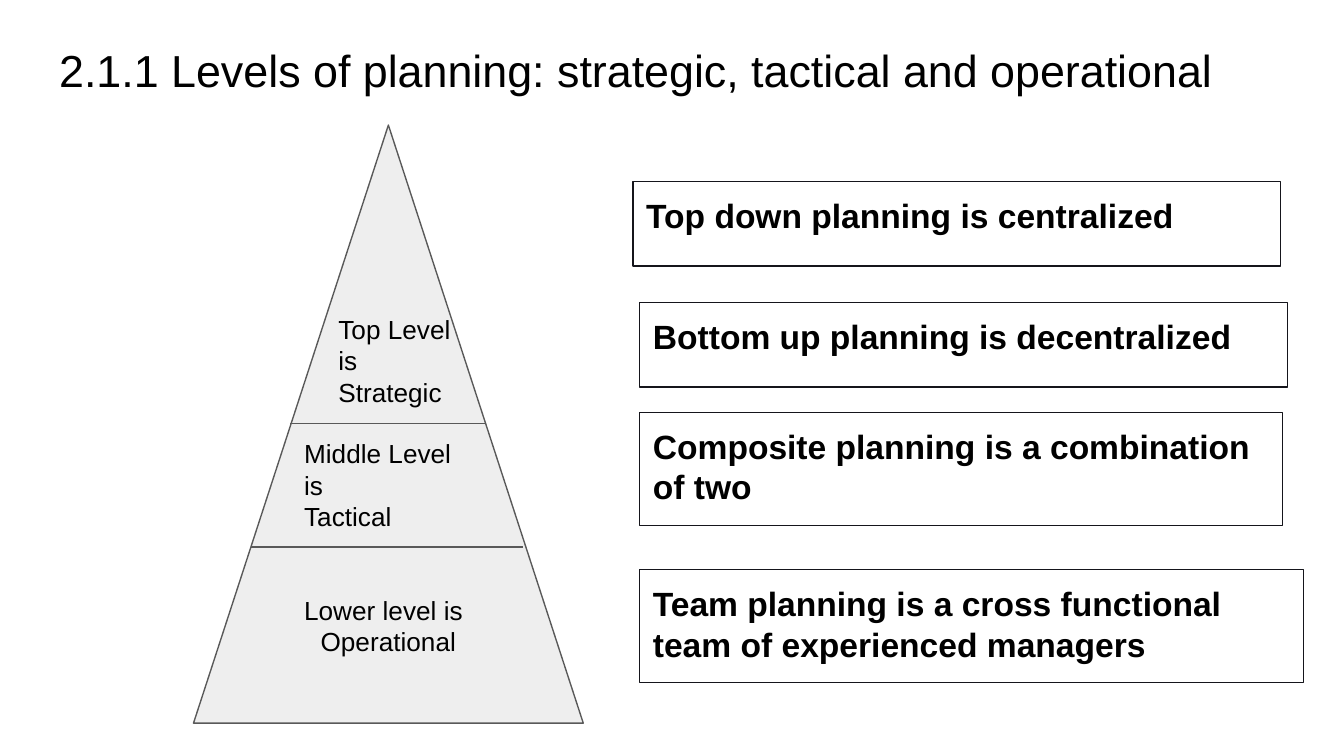
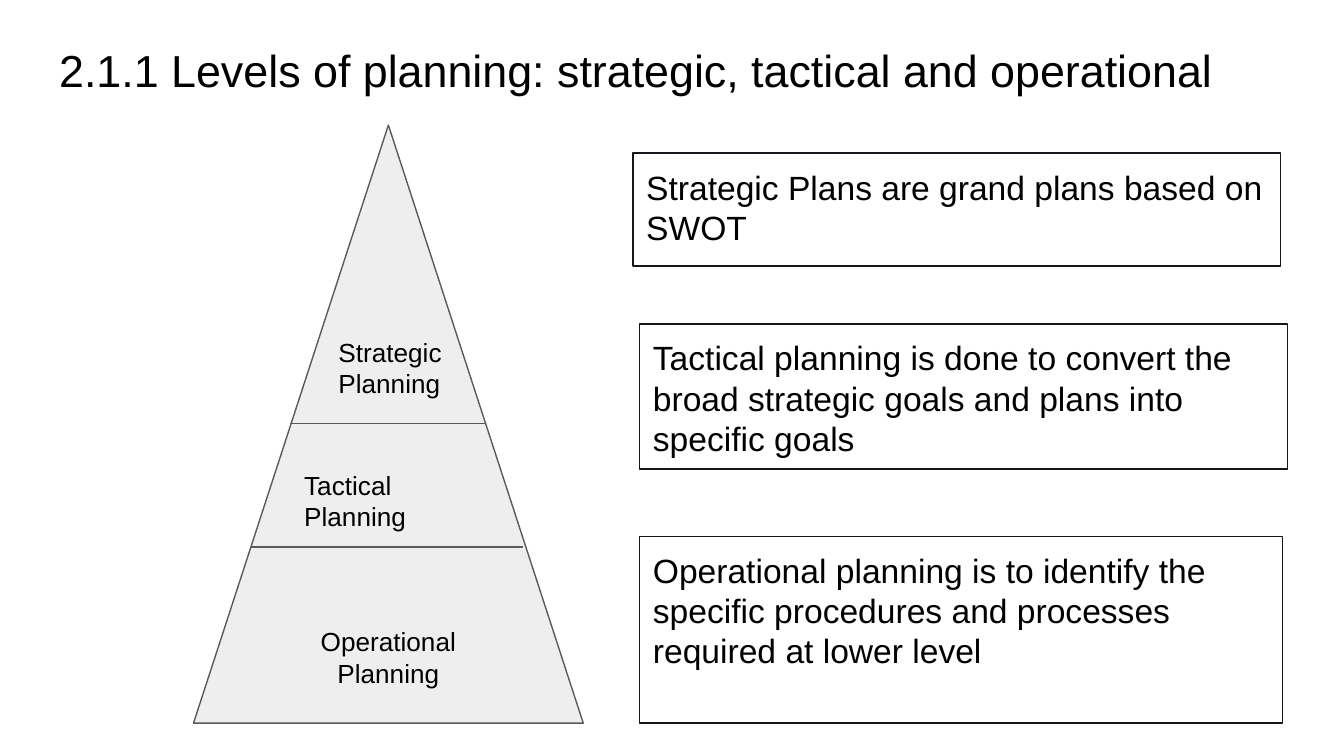
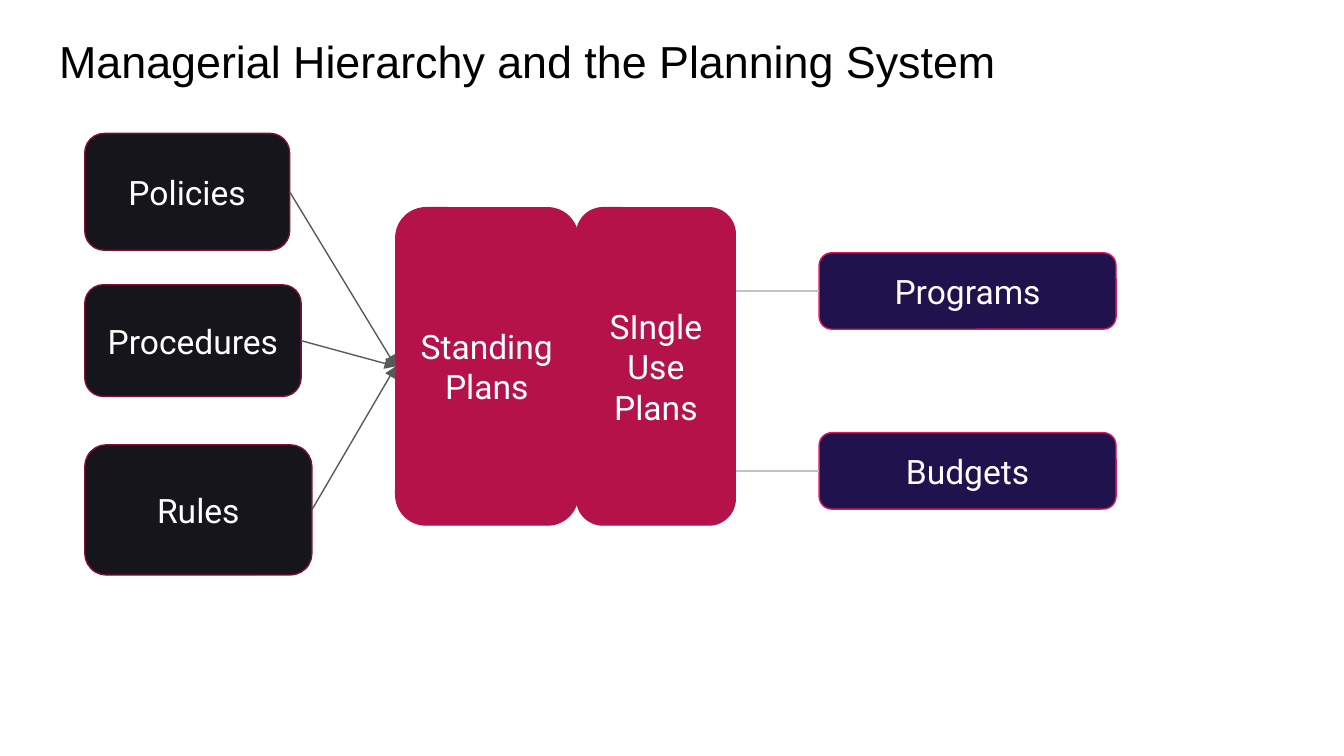
from dataclasses import dataclass

from lxml import etree
from pptx import Presentation
from pptx.dml.color import RGBColor
from pptx.enum import shapes as sh, text as tx
from pptx.oxml import ns
from pptx.util import Pt


@dataclass(frozen=True)
class Theme:
    ink: str = "000000"
    white: str = "FFFFFF"
    pale: str = "EEEEEE"
    gray: str = "595959"
    mist: str = "C2C2C2"
    dark: str = "15151B"
    wine: str = "840D35"
    red: str = "B6124A"
    navy: str = "20124D"
    pink: str = "E1165B"
    sans: str = "Arial"
    round: str = "Roboto"
    head: int = 24
    note: int = 18
    label: int = 14
    pad: float = 7.2
    rule: float = 0.75


T = Theme()
LEFT, MID = tx.PP_ALIGN.LEFT, tx.PP_ALIGN.CENTER
LEVELS = "2.1.1 Levels of planning: strategic, tactical and operational"


def rgb(code):
    return RGBColor.from_string(code)


def frame(shape, anchor=tx.MSO_ANCHOR.TOP, top=T.pad):
    body = shape.text_frame
    body.word_wrap = True
    body.auto_size = tx.MSO_AUTO_SIZE.NONE
    body.vertical_anchor = anchor
    body.margin_left = body.margin_right = body.margin_bottom = Pt(T.pad)
    body.margin_top = Pt(top)
    return body


def write(para, words, size, color=T.ink, face=T.sans, bold=False, align=LEFT):
    para.alignment = align
    run = para.add_run()
    run.text = words
    font = run.font
    font.name, font.size, font.bold = face, Pt(size), bold
    font.color.rgb = rgb(color)


def add_page(deck, words, top):
    page = deck.slides.add_slide(deck.slide_layouts[5])
    title = page.shapes.title
    title.left, title.top, title.width, title.height = map(Pt, (24.5, top, 671, 45.4))
    write(frame(title).paragraphs[0], words, T.head)
    return page


def add_form(page, kind, box, fill, line):
    form = page.shapes.add_shape(kind, *map(Pt, box))
    form.shadow.inherit = False
    if fill:
        form.fill.solid()
        form.fill.fore_color.rgb = rgb(fill)
    else:
        form.fill.background()
    form.line.color.rgb = rgb(line)
    form.line.width = Pt(T.rule)
    return form


def add_wire(page, ends=(0, 0, 0, 0), color=T.gray, kind=sh.MSO_CONNECTOR.STRAIGHT):
    wire = page.shapes.add_connector(kind, *map(Pt, ends))
    wire.line.color.rgb = rgb(color)
    wire.line.width = Pt(T.rule)
    etree.SubElement(wire._element.spPr, ns.qn("a:effectLst"))
    return wire


def link(page, start, end, **style):
    """Join the right side of one block to the left side of another."""
    wire = add_wire(page, **style)
    wire.begin_connect(start, 3)
    wire.end_connect(end, 1)
    return wire


def add_arrow(page, start, end):
    wire = link(page, start, end)
    tip = etree.Element(ns.qn("a:tailEnd"), type="triangle")
    wire.line._get_or_add_ln().append(tip)


def add_note(page, words, box, bold):
    note = add_form(page, sh.MSO_SHAPE.RECTANGLE, box, None, T.dark)
    write(frame(note).paragraphs[0], words, T.note, bold=bold)


def add_block(page, words, box, fill, line):
    block = add_form(page, sh.MSO_SHAPE.ROUNDED_RECTANGLE, box, fill, line)
    para = frame(block, tx.MSO_ANCHOR.MIDDLE).paragraphs[0]
    write(para, words, T.note, T.white, T.round, align=MID)
    return block


def add_cone(page, lines, top, peak, peak_y):
    """Draw the pyramid; each line is (words, alignment, space before)."""
    cone = add_form(page, sh.MSO_SHAPE.ISOSCELES_TRIANGLE,
                    (103.7, 67, 208.8, 320.4), T.pale, T.gray)
    body = frame(cone, top=top)
    for i, (words, align, gap) in enumerate(lines):
        para = body.add_paragraph() if i else body.paragraphs[0]
        if gap:
            para.space_before = Pt(gap)
        write(para, words, T.label, align=align)
    for x, end, y in ((155.5, 259.9, 226.8), (134.6, 280.1, 293)):
        add_wire(page, (x, y, end, y))
    label = page.shapes.add_textbox(*map(Pt, (174.2, peak_y, 77.8, 22.3)))
    write(frame(label).paragraphs[0], peak, T.label)


def add_levels(deck):
    page = add_page(deck, LEVELS, 15.8)
    add_cone(page, (
        ("Middle Level is", LEFT, 0),
        ("Tactical", LEFT, 0),
        ("Lower level is", LEFT, 33.6),
        ("Operational", MID, 0),
    ), T.pad, "Top Level is Strategic", 160.6)
    for words, box in (
        ("Top down planning is centralized", (339.1, 97.2, 347, 45.4)),
        ("Bottom up planning is decentralized", (342.7, 162, 347, 45.4)),
        ("Composite planning is a combination of two", (342.7, 221, 344.2, 60.5)),
        ("Team planning is a cross functional team of experienced managers",
         (342.7, 305.3, 355.7, 60.5)),
    ):
        add_note(page, words, box, True)


def add_plans(deck):
    page = add_page(deck, LEVELS, 15.8)
    add_cone(page, (
        ("Tactical Planning", LEFT, 0),
        ("Operational Planning", MID, 50.4),
    ), 24, "Strategic Planning", 172.8)
    for words, box in (
        ("Strategic Plans are grand plans based on SWOT", (339.1, 82.1, 347, 60.5)),
        ("Tactical planning is done to convert the broad strategic goals "
         "and plans into specific goals", (342.7, 173.5, 347, 77.8)),
        ("Operational planning is to identify the specific procedures and "
         "processes required at lower level", (342.7, 287.3, 344.2, 100.1)),
    ):
        add_note(page, words, box, False)


def add_system(deck):
    page = add_page(deck, "Managerial Hierarchy and the Planning System", 10.8)
    stand = add_block(page, "Standing Plans", (212, 111.3, 97.6, 170), T.red, T.red)
    for words, y in (("Programs", 135.4), ("Budgets", 231.8)):
        goal = add_block(page, words, (438.8, y, 159.1, 41), T.navy, T.pink)
        link(page, stand, goal, color=T.mist, kind=sh.MSO_CONNECTOR.ELBOW)
    for words, y, wide, high in (
        ("Policies", 71.5, 109.8, 62.6),
        ("Procedures", 152.6, 115.9, 59.8),
        ("Rules", 238.3, 121.7, 69.8),
    ):
        rule = add_block(page, words, (45.4, y, wide, high), T.dark, T.wine)
        add_arrow(page, rule, stand)
    add_block(page, "SIngle Use Plans", (308.9, 111.3, 85, 170), T.red, T.red)


def main():
    deck = Presentation()
    deck.slide_width, deck.slide_height = Pt(720), Pt(405)
    add_levels(deck)
    add_plans(deck)
    add_system(deck)
    deck.save("out.pptx")


if __name__ == "__main__":
    main()
